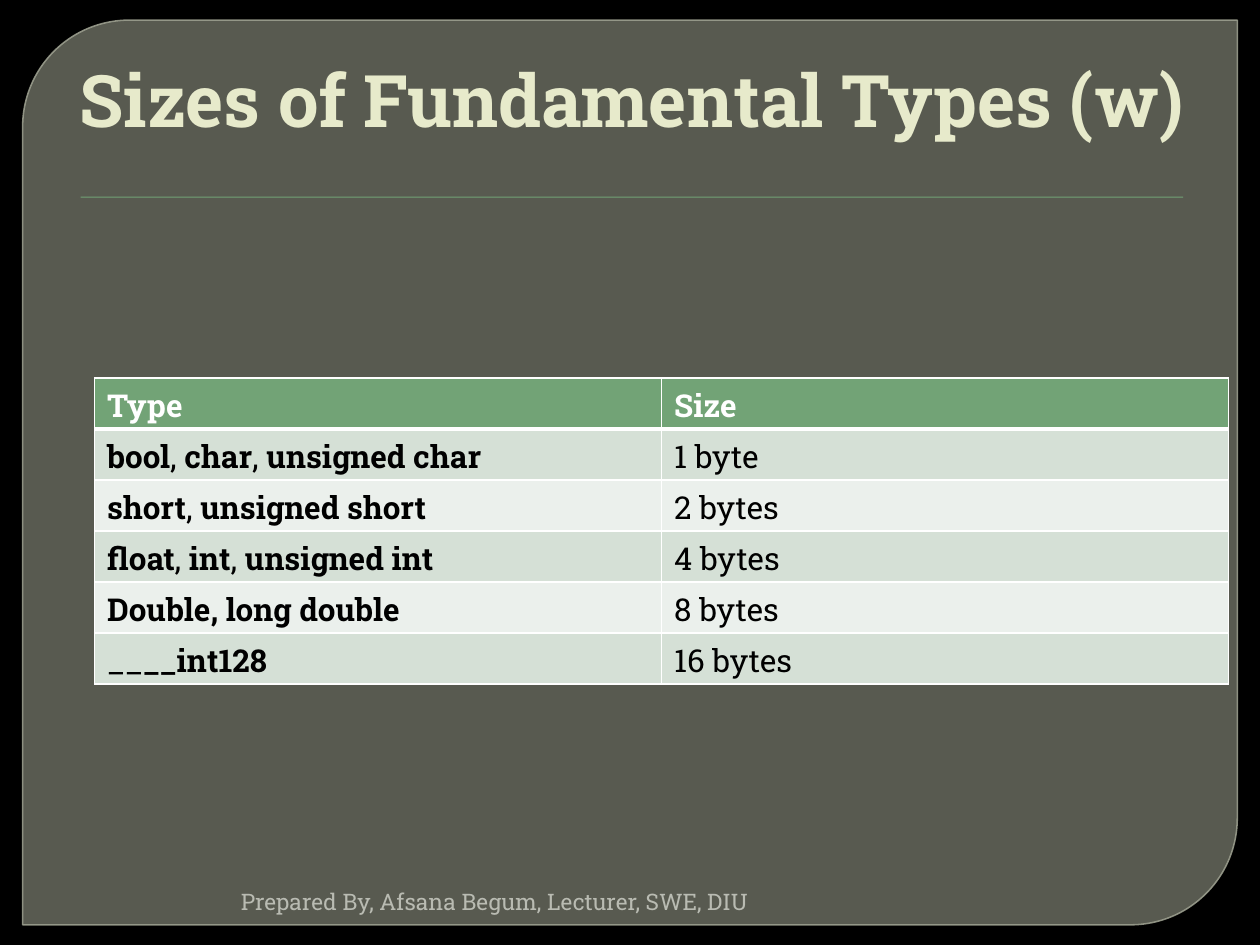
import pptx
import pptx.util
import pptx.dml.color
import pptx.enum.shapes
import pptx.enum.text
import pptx.oxml
from pptx.oxml.ns import qn
from lxml import etree

Inches, Pt = pptx.util.Inches, pptx.util.Pt
Shape = pptx.enum.shapes.MSO_SHAPE
Align, Anchor = pptx.enum.text.PP_ALIGN, pptx.enum.text.MSO_ANCHOR

FONT = "Roboto Slab"
WHITE, BLACK, GREEN = "FFFFFF", "000000", "72A376"
BANDS = ["D5E0D6", "EBF0EC"]
TITLE = "Sizes of Fundamental Types (w)"
FOOTER = "Prepared By, Afsana Begum, Lecturer, SWE, DIU"
HEADS = ["Type", "Size"]
ROWS = [
    (["*bool", ", ", "*char", ", ", "*unsigned char"], "1 byte"),
    (["*short", ", ", "*unsigned short"], "2 bytes"),
    (["*float", ", ", "*int", ", ", "*unsigned int"], "4 bytes"),
    (["*Double, long double"], "8 bytes"),
    (["__", "*__int128"], "16 bytes"),
]


def color(code):
    return pptx.dml.color.RGBColor.from_string(code)


def paint(fill, code, alpha=None):
    fill.solid()
    fill.fore_color.rgb = color(code)
    if alpha:
        node = fill._xPr.find(".//" + qn("a:srgbClr"))
        etree.SubElement(node, qn("a:alpha"), val=str(alpha * 1000))


def write(para, parts, size, code):
    for part in parts:
        run = para.add_run()
        run.text = part.lstrip("*")
        font = run.font
        font.name, font.size = FONT, Pt(size)
        font.bold = part.startswith("*")
        font.color.rgb = color(code)


def label(slide, box, part, size, code):
    frame = slide.shapes.add_textbox(*map(Inches, box)).text_frame
    frame.word_wrap = True
    frame.paragraphs[0].alignment = Align.RIGHT
    write(frame.paragraphs[0], [part], size, code)
    return frame


def shape(slide, kind, box, code, alpha=None):
    item = slide.shapes.add_shape(kind, *map(Inches, box))
    item.shadow.inherit = False
    paint(item.fill, code, alpha)
    item.line.fill.background()
    return item


def border(cell, low):
    props = cell._tc.get_or_add_tcPr()
    widths = {"lnL": 1, "lnR": 1, "lnT": 1, "lnB": low}
    for spot, (side, width) in enumerate(widths.items()):
        line = etree.Element(qn("a:" + side), w=str(Pt(width)))
        fill = etree.SubElement(line, qn("a:solidFill"))
        etree.SubElement(fill, qn("a:srgbClr"), val=WHITE)
        props.insert(spot, line)


def fill_cell(cell, parts, ink, back, low=1):
    cell.vertical_anchor = Anchor.MIDDLE
    write(cell.text_frame.paragraphs[0], parts, 18, ink)
    paint(cell.fill, back)
    border(cell, low)


def main():
    deck = pptx.Presentation()
    deck.slide_width, deck.slide_height = Inches(10), Inches(7.5)
    slide = deck.slides.add_slide(deck.slide_layouts[6])
    paint(slide.background.fill, BLACK)

    panel = shape(slide, Shape.ROUND_2_DIAG_RECTANGLE,
                  (0.18, 0.16, 9.64, 7.18), "888B7B", 65)
    panel.adjustments[0], panel.adjustments[1] = 0.118, 0
    paint(panel.line.fill, "9DA090", 88)
    panel.line.width = Pt(0.87)
    shape(slide, Shape.RECTANGLE, (0.64, 1.56, 8.75, 0.01), GREEN)

    title = label(slide, (0.17, 0.58, 9.33, 1.25), "*" + TITLE, 41.4, "E7EACB")
    title.vertical_anchor = Anchor.BOTTOM
    title.margin_bottom = Inches(0.7)

    box = map(Inches, (0.75, 3, 9, 2.43))
    table = slide.shapes.add_table(len(ROWS) + 1, len(HEADS), *box).table
    for col, head in enumerate(HEADS):
        fill_cell(table.cell(0, col), ["*" + head], WHITE, GREEN, 3)
    for row, (names, size) in enumerate(ROWS):
        for col, parts in enumerate((names, [size])):
            fill_cell(table.cell(row + 1, col), parts, BLACK, BANDS[row % 2])

    label(slide, (1.42, 7, 4.61, 0.3), FOOTER, 13, "B9BBB2")
    deck.save("out.pptx")


if __name__ == "__main__":
    main()
